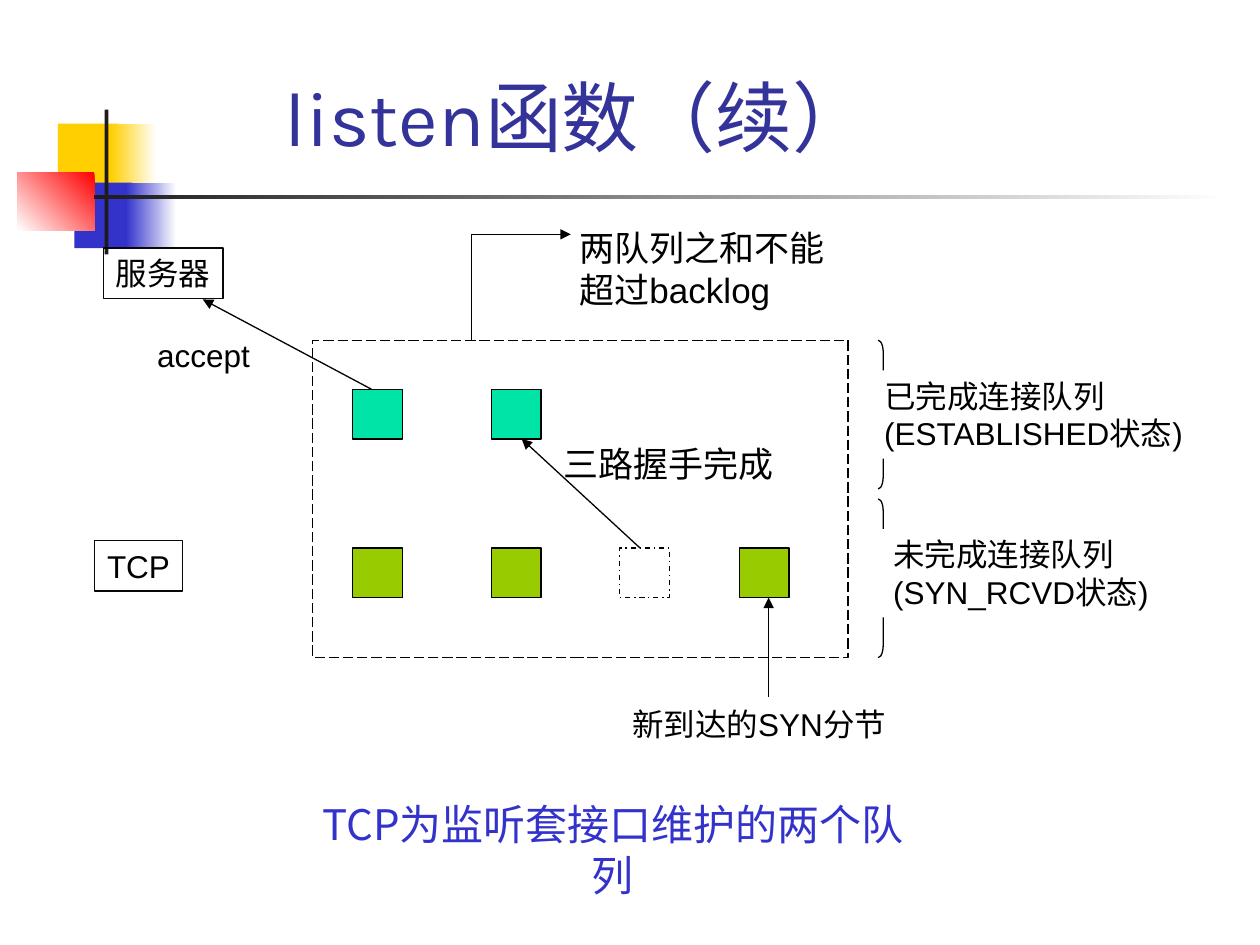
"""Build a slide on the two queues that TCP keeps for a listening socket."""
import pptx
import pptx.dml.color
import pptx.enum.dml
import pptx.enum.shapes
import pptx.enum.text
import pptx.oxml.ns
import pptx.util
from lxml import etree

Pt = pptx.util.Pt
RGB = pptx.dml.color.RGBColor
SHAPE = pptx.enum.shapes.MSO_SHAPE
DASH = pptx.enum.dml.MSO_LINE
ALIGN = pptx.enum.text.PP_ALIGN
ANCHOR = pptx.enum.text.MSO_ANCHOR
FIT = pptx.enum.text.MSO_AUTO_SIZE
qn = pptx.oxml.ns.qn

BLACK, WHITE, INK = RGB(0, 0, 0), RGB(255, 255, 255), RGB(0x1C, 0x1C, 0x1C)
YELLOW, RED, BLUE = RGB(0xFF, 0xCF, 0x01), RGB(0xFF, 0, 0), RGB(0x33, 0x33, 0xCC)
TITLE_BLUE = RGB(0x33, 0x33, 0x99)
TEAL, GREEN = RGB(0, 0xE4, 0xA8), RGB(0x99, 0xCC, 0)
BORDER = RGB(8, 8, 8)
CJK_FONT = "Noto Sans CJK JP"
HAIRLINE = 0.75

ORNAMENTS = [
    ((33.1, 70.6, 34.6, 37.4), (YELLOW,), 0),
    ((63.4, 70.6, 25.9, 37.4), (WHITE, YELLOW), 180),
    ((42.5, 104.4, 33.1, 37.4), (BLUE,), 0),
    ((72, 104.4, 28.8, 37.4), (WHITE, BLUE), 180),
    ((10.1, 98.6, 43.9, 33.1), (RED, WHITE), 225),
    ((59.8, 62.6, 2.2, 82.8), (INK,), 0),
    ((54, 111.6, 648, 2.2), (WHITE, INK), 180),
]

SQUARE = 28.35
COLUMNS = [201.6, 280.8, 354.2, 422.6]
QUEUES = [(222.5, [TEAL, TEAL]), (313.2, [GREEN, GREEN, None, GREEN])]
FRAME = (178.6, 194.4, 306, 181.4)
BRACES = [(501.8, 194.4, 5.8, 85), (501.8, 285.1, 5.8, 90.7)]

LINES = [
    ((365.8, 313.2), (298.1, 250.8), True),
    ((269.3, 194.4), (269.3, 133.9), False),
    ((269.3, 133.9), (326.2, 133.9), True),
    ((439.2, 398.2), (439.2, 341.5), True),
    ((212.4, 222.5), (115.9, 171.1), True),
]

LABELS = [
    dict(lines=["listen函数（续）"], at=(36, 36, 588.2, 59.8), size=44, font="Karla",
         color=TITLE_BLUE, anchor=ANCHOR.BOTTOM, wrap=True, fit=FIT.NONE),
    dict(lines=["三路握手完成"], at=(314.6, 249.1, 134.6, 31.7), size=20),
    dict(lines=["两队列之和不能", "超过backlog"], at=(324, 126, 169.9, 55.4), size=20,
         align=ALIGN.LEFT, wrap=True),
    dict(lines=["已完成连接队列", "(ESTABLISHED状态)"], at=(498.2, 211.7, 195.1, 50.4),
         align=ALIGN.LEFT, fill=WHITE),
    dict(lines=["未完成连接队列", "(SYN_RCVD状态)"], at=(503.3, 302.4, 169.2, 50.4),
         align=ALIGN.LEFT, fill=WHITE),
    dict(lines=["新到达的SYN分节"], at=(349.9, 399.6, 167.8, 28.8)),
    dict(lines=["服务器"], at=(59, 141.8, 68.4, 28.8), border=BORDER),
    dict(lines=["TCP"], at=(54, 308.9, 50.4, 28.8), border=BORDER),
    dict(lines=["accept"], at=(81.3, 188.6, 70, 28.8)),
    dict(lines=["TCP为监听套接口维护的两个队列"], at=(166.3, 452.9, 367.9, 36), size=24,
         font=CJK_FONT, color=BLUE, wrap=True),
]


def assign(target, values):
    for name, value in values.items():
        setattr(target, name, value)


def outline(shape, color, dash=None):
    if color is None:
        shape.line.fill.background()
        return
    shape.line.color.rgb = color
    assign(shape.line, {"width": Pt(HAIRLINE), "dash_style": dash})


def add_shape(page, at, colors=(), angle=0, border=None, dash=None, kind=SHAPE.RECTANGLE):
    shape = page.shapes.add_shape(kind, *map(Pt, at))
    shape.shadow.inherit = False
    if len(colors) == 2:
        shape.fill.gradient()
        shape.fill.gradient_angle = angle
        for stop, color in zip(shape.fill.gradient_stops, colors):
            stop.color.rgb = color
    elif colors:
        shape.fill.solid()
        shape.fill.fore_color.rgb = colors[0]
    else:
        shape.fill.background()
    outline(shape, border, dash)
    return shape


def add_line(page, start, end, arrow):
    line = page.shapes.add_connector(
        pptx.enum.shapes.MSO_CONNECTOR.STRAIGHT, *map(Pt, start + end))
    outline(line, BLACK)
    if arrow:
        etree.SubElement(line.line._get_or_add_ln(), qn("a:tailEnd"), type="triangle")
    etree.SubElement(line._element.spPr, qn("a:effectLst"))


def add_label(page, lines, at, size=18, font="Arial", color=BLACK, align=ALIGN.CENTER,
              anchor=ANCHOR.TOP, wrap=False, fit=FIT.SHAPE_TO_FIT_TEXT, fill=None, border=None):
    if fill or border:
        box = add_shape(page, at, [fill] if fill else (), border=border)
    else:
        box = page.shapes.add_textbox(*map(Pt, at))
    frame = box.text_frame
    assign(frame, {"word_wrap": wrap, "auto_size": fit, "vertical_anchor": anchor})
    for index, line in enumerate(lines):
        para = frame.add_paragraph() if index else frame.paragraphs[0]
        para.alignment = align
        span = para.add_run()
        span.text = line
        assign(span.font, {"size": Pt(size), "name": font})
        span.font.color.rgb = color
        etree.SubElement(span.font._element, qn("a:ea"), typeface=CJK_FONT)


def main():
    deck = pptx.Presentation()
    assign(deck, {"slide_width": Pt(720), "slide_height": Pt(540)})
    page = deck.slides.add_slide(deck.slide_layouts[6])
    for at, colors, angle in ORNAMENTS:
        add_shape(page, at, colors, angle)
    for top, colors in QUEUES:
        for left, color in zip(COLUMNS, colors):
            add_shape(page, (left, top, SQUARE, SQUARE), [color] if color else (),
                      border=BLACK, dash=None if color else DASH.DASH_DOT)
    add_shape(page, FRAME, border=BLACK, dash=DASH.LONG_DASH)
    for at in BRACES:
        brace = add_shape(page, at, border=BLACK, kind=SHAPE.RIGHT_BRACE)
        brace.adjustments[0] = 1.2
    for label in LABELS:
        add_label(page, **label)
    for start, end, arrow in LINES:
        add_line(page, start, end, arrow)
    deck.save("out.pptx")


if __name__ == "__main__":
    main()
